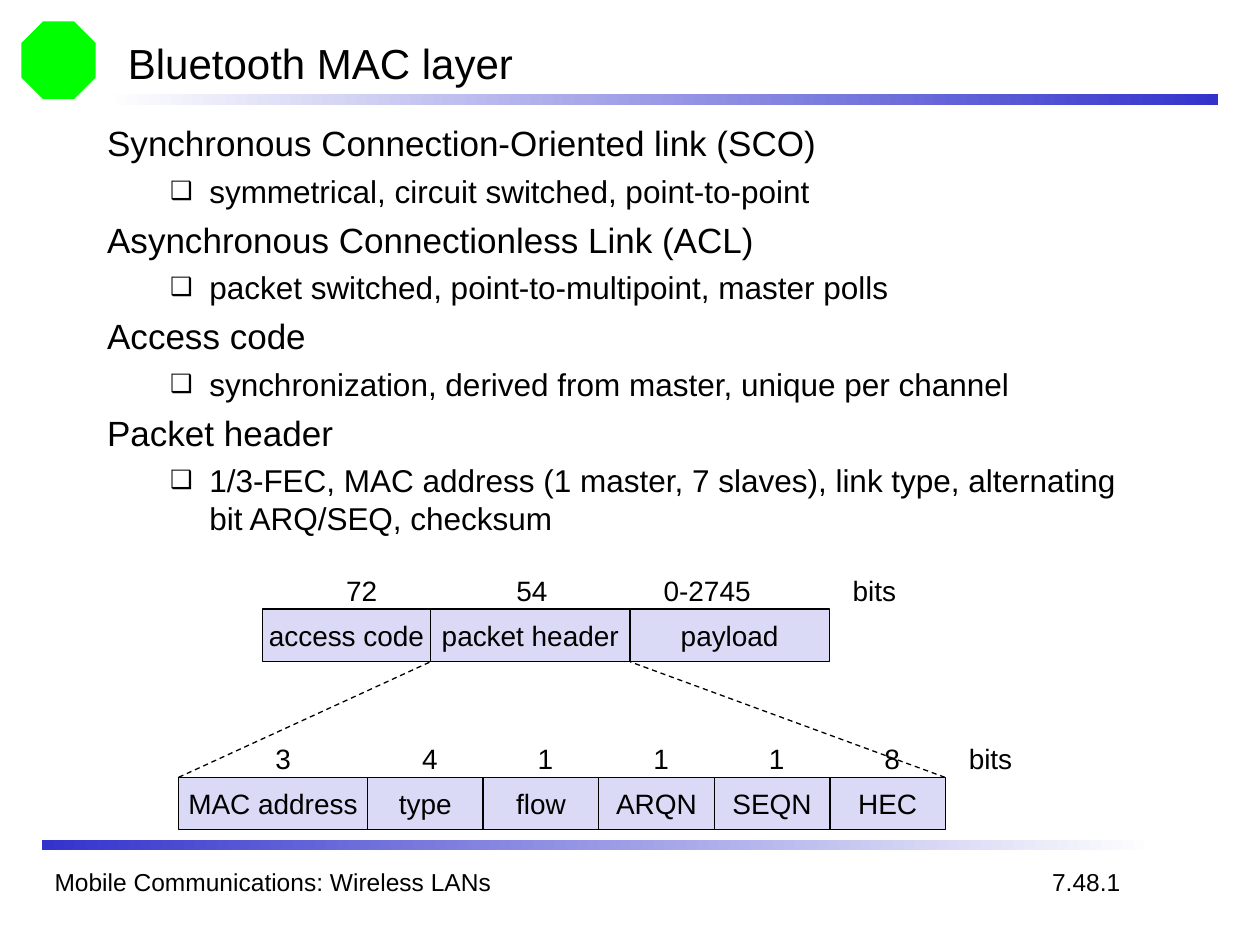
"""Build the slide on the Bluetooth MAC layer and its packet format."""
import pptx
import pptx.dml.color
import pptx.enum.dml
import pptx.enum.shapes
import pptx.enum.text
import pptx.oxml
import pptx.oxml.ns
import pptx.util
from lxml import etree

Cm = pptx.util.Cm
Pt = pptx.util.Pt
SHAPE = pptx.enum.shapes.MSO_SHAPE
ANCHOR = pptx.enum.text.MSO_ANCHOR
ALIGN = pptx.enum.text.PP_ALIGN
AUTO_SIZE = pptx.enum.text.MSO_AUTO_SIZE

COLOURS = {"ink": "000000", "paper": "FFFFFF", "bar": "3333CC",
           "field": "DADAF6", "emblem": "00FF00"}
RGB = {name: pptx.dml.color.RGBColor.from_string(value) for name, value in COLOURS.items()}

WRAPPED = {"word_wrap": True, "vertical_anchor": ANCHOR.TOP}
MIDDLE = {"word_wrap": True, "vertical_anchor": ANCHOR.MIDDLE}
FIELD = {"word_wrap": False, "vertical_anchor": ANCHOR.MIDDLE}
LABEL = {"word_wrap": False, "auto_size": AUTO_SIZE.SHAPE_TO_FIT_TEXT}


def write(paragraph, text, size, align=ALIGN.LEFT):
    paragraph.alignment = align
    run = paragraph.add_run()
    run.text = text
    for attribute, value in {"name": "Arial", "size": Pt(size)}.items():
        setattr(run.font, attribute, value)
    run.font.color.rgb = RGB["ink"]


def add_text(left, top, width, height, text, size, frame_format):
    frame = slide.shapes.add_textbox(Cm(left), Cm(top), Cm(width), Cm(height)).text_frame
    for attribute, value in frame_format.items():
        setattr(frame, attribute, value)
    if text:
        write(frame.paragraphs[0], text, size)
    return frame


deck = pptx.Presentation()
deck.slide_width, deck.slide_height = Cm(25.4), Cm(19.05)
slide = deck.slides.add_slide(deck.slide_layouts[6])

emblem = slide.shapes.add_shape(SHAPE.OCTAGON, Cm(0.43), Cm(0.43), Cm(1.5), Cm(1.57))
emblem.shadow.inherit = False
emblem.fill.solid()
emblem.fill.fore_color.rgb = RGB["emblem"]
emblem.line.fill.background()

for left, top, ends in [(2.12, 1.9, ("paper", "bar")), (0.85, 16.93, ("bar", "paper"))]:
    bar = slide.shapes.add_shape(SHAPE.RECTANGLE, Cm(left), Cm(top), Cm(22.44), Cm(0.21))
    bar.shadow.inherit = False
    bar.line.fill.background()
    bar.fill.gradient()
    bar.fill.gradient_angle = 0
    for stop, position, colour in zip(bar.fill.gradient_stops, (0, 1), ends):
        stop.position = position
        stop.color.rgb = RGB[colour]

add_text(2.33, 0.63, 21.59, 1.27, "Bluetooth MAC layer", 24, MIDDLE)
add_text(0.85, 17.36, 17.15, 0.85, "Mobile Communications: Wireless LANs", 14, WRAPPED)
add_text(20.96, 17.36, 1.9, 0.86, "7.48.1", 14, LABEL)

topics = [
    ("Synchronous Connection-Oriented link (SCO)",
     "symmetrical, circuit switched, point-to-point"),
    ("Asynchronous Connectionless Link (ACL)",
     "packet switched, point-to-multipoint, master polls"),
    ("Access code",
     "synchronization, derived from master, unique per channel"),
    ("Packet header",
     "1/3-FEC, MAC address (1 master, 7 slaves), link type, alternating bit ARQ/SEQ, checksum"),
]
levels = [
    {"size": 20, "before": 5, "margin": 0.97, "bullet": None},
    {"size": 18, "before": 4.5, "margin": 2.06, "bullet": "❑"},
]
outline = add_text(1.91, 2.33, 21.59, 14.6, "", 20, WRAPPED)
paragraph = outline.paragraphs[0]
for topic in topics:
    for depth, (text, level) in enumerate(zip(topic, levels)):
        if paragraph is None:
            paragraph = outline.add_paragraph()
        paragraph.level = depth
        paragraph.space_before = Pt(level["before"])
        write(paragraph, text, level["size"])
        properties = paragraph._p.get_or_add_pPr()
        properties.set("marL", str(Cm(level["margin"])))
        properties.set("indent", str(-Cm(0.79 if level["bullet"] else 0.97)))
        if level["bullet"]:
            for tag, attribute, value in [("a:buSzPct", "val", "80000"),
                                          ("a:buFont", "typeface", "Arial"),
                                          ("a:buChar", "char", level["bullet"])]:
                etree.SubElement(properties, pptx.oxml.ns.qn(tag)).set(attribute, value)
        paragraph = None

field_height = 1.06
label_rise = 0.85
label_widths = {1: 0.84, 2: 1.16, 4: 1.42, 6: 2.3}
packet_top, header_top = 12.28, 15.67
rows = [
    (packet_top, 5.29, 16.94, [("access code", 3.39, "72", 1.44),
                               ("packet header", 4.02, "54", 1.48),
                               ("payload", 4.02, "0-2745", 0.43)]),
    (header_top, 3.6, 19.28, [("MAC address", 3.81, "3", 1.7)]
     + [(name, 2.33, bits, 0.85) for name, bits in
        zip(("type", "flow", "ARQN", "SEQN", "HEC"), "41118")]),
]
for top, left, unit_left, fields in rows:
    for name, width, bits, offset in fields:
        field = slide.shapes.add_shape(SHAPE.RECTANGLE, Cm(left), Cm(top), Cm(width), Cm(field_height))
        field.shadow.inherit = False
        field.fill.solid()
        field.fill.fore_color.rgb = RGB["field"]
        field.line.color.rgb = RGB["ink"]
        field.line.width = Pt(0.75)
        for attribute, value in FIELD.items():
            setattr(field.text_frame, attribute, value)
        write(field.text_frame.paragraphs[0], name, 16, ALIGN.CENTER)
        add_text(left + offset, top - label_rise, label_widths[len(bits)], 0.94, bits, 16, LABEL)
        left += width
    add_text(unit_left, top - label_rise, label_widths[4], 0.94, "bits", 16, LABEL)

for header_edge, packet_edge in [(3.6, 8.68), (19.05, 12.7)]:
    zoom = slide.shapes.add_connector(
        pptx.enum.shapes.MSO_CONNECTOR.STRAIGHT,
        Cm(header_edge), Cm(header_top), Cm(packet_edge), Cm(packet_top + field_height))
    zoom.line.color.rgb = RGB["ink"]
    zoom.line.width = Pt(0.75)
    zoom.line.dash_style = pptx.enum.dml.MSO_LINE.DASH
    etree.SubElement(zoom._element.spPr, pptx.oxml.ns.qn("a:effectLst"))

deck.save("out.pptx")
